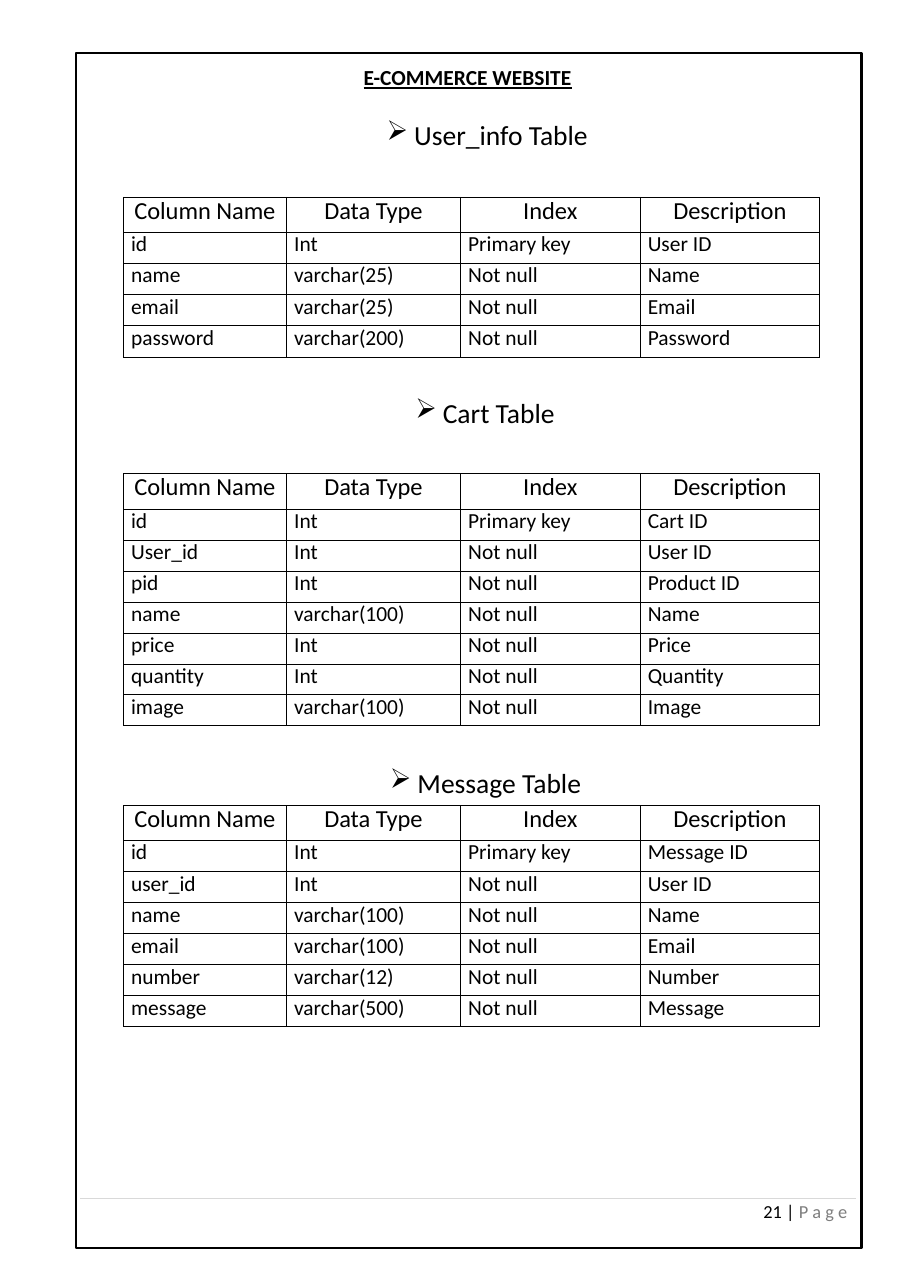
from dataclasses import dataclass

from lxml.etree import SubElement
from pptx import Presentation
from pptx.dml.color import RGBColor
from pptx.enum.shapes import MSO_CONNECTOR as Connector, MSO_SHAPE as Shape
from pptx.enum.text import MSO_ANCHOR as Anchor, MSO_AUTO_SIZE as AutoSize, PP_ALIGN as Align
from pptx.oxml import parse_xml
from pptx.oxml.ns import nsdecls, qn
from pptx.util import Inches, Pt


@dataclass(frozen=True)
class Theme:
    font: str = "Calibri"
    ink: str = "000000"
    muted: str = "7E7E7E"
    rule: str = "D9D9D9"
    heading: int = 18
    header: int = 16
    body: int = 14
    footer: int = 12


THEME = Theme()
COLUMN_WIDTHS = (1.48, 1.58, 1.63, 1.63)
HEADERS = ("Column Name", "Data Type", "Index", "Description")
HEADER_HEIGHT = 0.32
TABLE_LEFT = 1.12

# heading, (heading left, heading top), (table top, table height), (name, type, description)
SCHEMAS = (
    ("User_info Table", (3.5, 1.05), (1.79, 1.45), (
        ("id", "Int", "User ID"),
        ("name", "varchar(25)", "Name"),
        ("email", "varchar(25)", "Email"),
        ("password", "varchar(200)", "Password"),
    )),
    ("Cart Table", (3.76, 3.57), (4.3, 2.29), (
        ("id", "Int", "Cart ID"),
        ("User_id", "Int", "User ID"),
        ("pid", "Int", "Product ID"),
        ("name", "varchar(100)", "Name"),
        ("price", "Int", "Price"),
        ("quantity", "Int", "Quantity"),
        ("image", "varchar(100)", "Image"),
    )),
    ("Message Table", (3.53, 6.93), (7.31, 2.01), (
        ("id", "Int", "Message ID"),
        ("user_id", "Int", "User ID"),
        ("name", "varchar(100)", "Name"),
        ("email", "varchar(100)", "Email"),
        ("number", "varchar(12)", "Number"),
        ("message", "varchar(500)", "Message"),
    )),
)


def add_text(para, text, size, color=THEME.ink, bold=False, underline=False,
             align=Align.LEFT, leading=None):
    """Append a formatted span to a paragraph."""
    para.alignment = align
    if leading:
        para.line_spacing = Pt(leading)
    span = para.add_run()
    span.text = text
    font = span.font
    font.name, font.size = THEME.font, Pt(size)
    font.bold, font.underline = bold, underline
    font.color.rgb = RGBColor.from_string(color)


def place_frame(box, left, top, width, height, top_inset=0):
    """Position a text shape, clear its insets and return its first paragraph."""
    box.left, box.top = Inches(left), Inches(top)
    box.width, box.height = Inches(width), Inches(height)
    frame = box.text_frame
    frame.margin_left = frame.margin_right = frame.margin_bottom = 0
    frame.margin_top = Inches(top_inset)
    frame.word_wrap = False
    frame.auto_size = AutoSize.NONE
    frame.vertical_anchor = Anchor.TOP
    return frame.paragraphs[0]


def add_page_border(page, left, top, width, height):
    border = page.shapes.add_shape(Shape.RECTANGLE, Inches(left), Inches(top),
                                   Inches(width), Inches(height))
    border.shadow.inherit = False
    border.fill.background()
    border.line.color.rgb = RGBColor.from_string(THEME.ink)
    border.line.width = Pt(1.5)


def add_title(page, left, top, width, height):
    para = place_frame(page.shapes.title, left, top, width, height, top_inset=0.02)
    add_text(para, "E-COMMERCE WEBSITE", THEME.body, bold=True, underline=True)


def add_heading(page, text, left, top, width=2, height=0.33):
    box = page.shapes.add_textbox(0, 0, 0, 0)
    para = place_frame(box, left, top, width, height, top_inset=0.02)
    properties = para._p.get_or_add_pPr()
    properties.set("marL", str(Inches(0.26)))
    properties.set("indent", str(Inches(-0.25)))
    SubElement(properties, qn("a:buChar"), char="➢")
    add_text(para, text, THEME.heading)


def outline_cell(cell):
    cell.fill.background()
    properties = cell._tc.get_or_add_tcPr()
    for position, side in enumerate("LRTB"):
        properties.insert(position, parse_xml(
            f'<a:ln{side} {nsdecls("a")} w="{Pt(0.5)}"><a:solidFill>'
            f'<a:srgbClr val="{THEME.ink}"/></a:solidFill></a:ln{side}>'))


def add_schema_table(page, fields, left, top, height):
    rows = [HEADERS]
    for number, (name, data_type, description) in enumerate(fields):
        index = "Not null" if number else "Primary key"
        rows.append((name, data_type, index, description))
    table = page.shapes.add_table(len(rows), len(HEADERS), Inches(left), Inches(top),
                                  Inches(sum(COLUMN_WIDTHS)), Inches(height)).table
    table.first_row = table.horz_banding = False
    for column, width in zip(table.columns, COLUMN_WIDTHS):
        column.width = Inches(width)
    body_height = (height - HEADER_HEIGHT) / len(fields)
    for row_number, texts in enumerate(rows):
        is_header = row_number == 0
        table.rows[row_number].height = Inches(HEADER_HEIGHT if is_header else body_height)
        for cell, text in zip(table.rows[row_number].cells, texts):
            cell.margin_top = cell.margin_right = cell.margin_bottom = 0
            cell.margin_left = 0 if is_header else Inches(0.07)
            outline_cell(cell)
            para = cell.text_frame.paragraphs[0]
            if is_header:
                add_text(para, text, THEME.header, align=Align.CENTER, leading=18.8)
            else:
                add_text(para, text, THEME.body, leading=16.4)


def add_footer(page, left, top, width):
    rule = page.shapes.add_connector(Connector.STRAIGHT, Inches(left), Inches(top),
                                     Inches(left + width), Inches(top))
    rule.line.color.rgb = RGBColor.from_string(THEME.rule)
    rule.line.width = Pt(0.5)
    SubElement(rule._element.spPr, qn("a:effectLst"))
    box = page.shapes.add_textbox(0, 0, 0, 0)
    para = place_frame(box, left + 6.2, top + 0.04, 0.8, 0.19)
    add_text(para, "21 | ", THEME.footer, leading=12.4)
    add_text(para, "P a g e", THEME.footer, color=THEME.muted, leading=12.4)


def main():
    deck = Presentation()
    deck.slide_width, deck.slide_height = Inches(8.26), Inches(11.69)
    page = deck.slides.add_slide(deck.slide_layouts.get_by_name("Title Only"))
    add_footer(page, 0.73, 10.88, 7.04)
    add_page_border(page, 0.69, 0.48, 7.13, 10.85)
    add_title(page, 3.3, 0.56, 2.04, 0.3)
    for heading, (heading_left, heading_top), (table_top, height), fields in SCHEMAS:
        add_heading(page, heading, heading_left, heading_top)
        add_schema_table(page, fields, TABLE_LEFT, table_top, height)
    deck.save("out.pptx")


if __name__ == "__main__":
    main()
